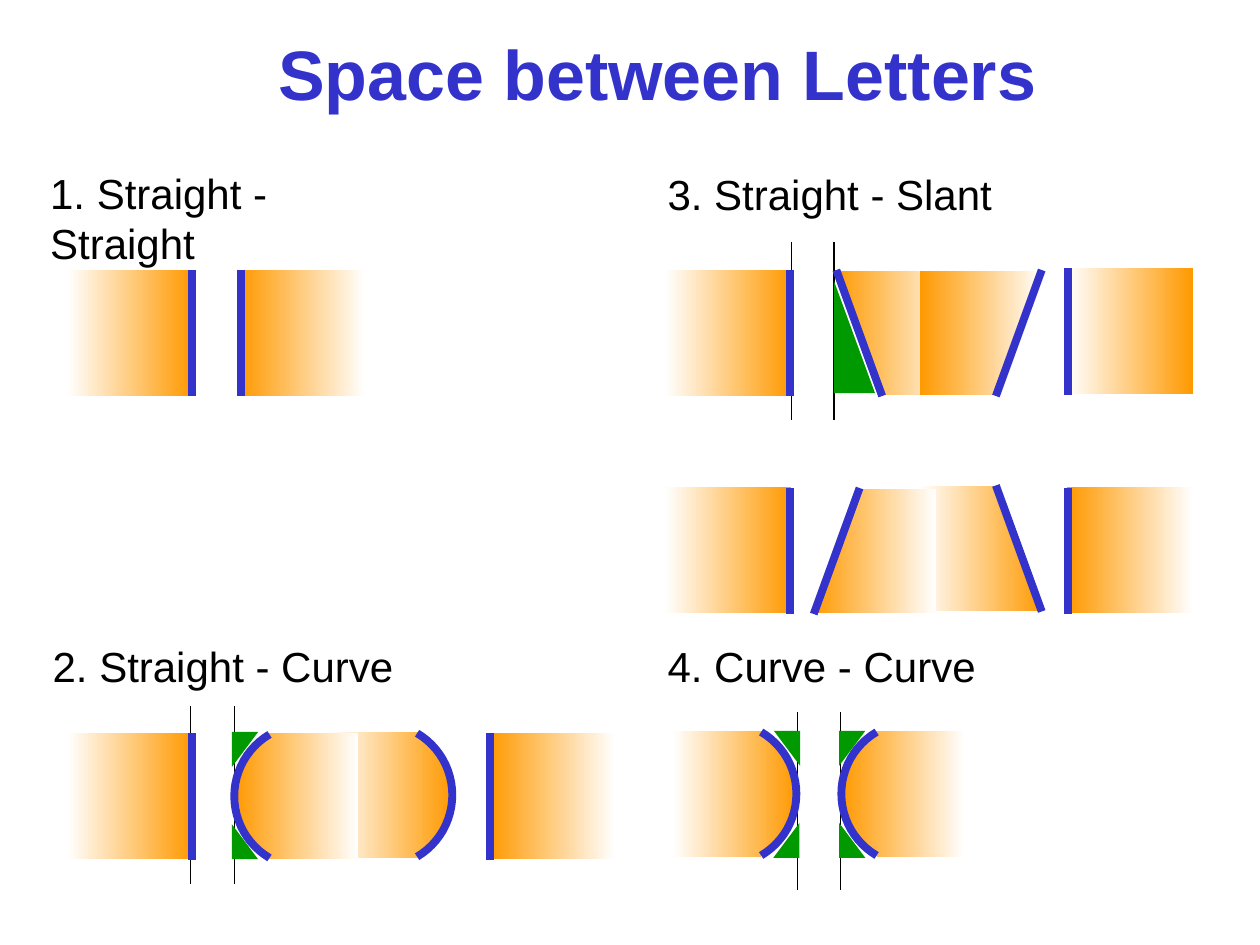
import math

from lxml import etree
from pptx import Presentation
from pptx.dml.color import RGBColor
from pptx.enum.shapes import MSO_CONNECTOR, MSO_SHAPE
from pptx.enum.text import MSO_AUTO_SIZE
from pptx.oxml.ns import qn
from pptx.util import Pt

STRAIGHT_LINE = MSO_CONNECTOR.STRAIGHT
RECTANGLE = MSO_SHAPE.RECTANGLE
FIT_TEXT = MSO_AUTO_SIZE.SHAPE_TO_FIT_TEXT

COLORS = {"ink": "000000", "edge": "3333CC", "body": "FF9900",
          "fade": "FFFFFF", "gap": "009900"}

HEADING = {"size": Pt(24), "bold": False, "color": "ink"}
TITLE = {"size": Pt(40), "bold": True, "color": "edge"}
TEXTS = [
    ("1. Straight - Straight", 21.6, 92.2, 227.5, 36.4, HEADING),
    ("2. Straight - Curve", 23, 362.2, 209.5, 36.4, HEADING),
    ("3. Straight - Slant", 374.4, 92.9, 200.2, 36.4, HEADING),
    ("4. Curve - Curve", 374.4, 362.2, 190.8, 36.4, HEADING),
    ("Space between Letters", 151.9, 13.7, 447.8, 55.4, TITLE),
]

GUIDES = [(406.8, (455.8, 480.2)), (138.2, (452.2, 476.6)), (403.2, (108.7, 133.9))]
GUIDE_HEIGHT = 101.8

# kind, left, top, side of the heavy edge, side of the full colour, upside down
BLOCKS = [
    ("straight", 38.2, 154.1, "right", "right", False),
    ("straight", 136.8, 154.1, "left", "left", False),
    ("slant", 476.6, 154.8, "left", "left", False),
    ("straight", 380.2, 154.1, "right", "right", False),
    ("slant", 525.6, 277.9, "right", "right", True),
    ("straight", 609.8, 278.6, "left", "left", False),
    ("slant", 463.7, 279.4, "left", "left", True),
    ("straight", 380.2, 278.6, "right", "right", False),
    ("slant", 525.6, 154.8, "right", "left", False),
    ("straight", 609.8, 153.4, "left", "right", False),
    ("straight", 38.2, 419, "right", "right", False),
    ("straight", 279.4, 419, "left", "left", False),
    ("curve", 187.9, 418.3, "right", "right", False),
    ("curve", 480.8, 417.6, "left", "left", False),
    ("curve", 384.5, 417.6, "right", "right", False),
    ("curve", 133.9, 419, "left", "left", False),
]

RADIUS, HALF_SWEEP, ARC_STEPS = 41, 59.4, 24
ARC = [(RADIUS * (1 - math.cos(angle)), 36 + RADIUS * math.sin(angle))
       for angle in (math.radians(HALF_SWEEP * (2 * step / ARC_STEPS - 1))
                     for step in range(ARC_STEPS + 1))]

# Outline and heavy edge of each kind, with the edge on the left
FORMS = {
    "straight": {"size": (72, 72), "outline": None, "edge": [(0.7, 0), (0.7, 72.4)]},
    "slant": {"size": (71, 71), "outline": [(0, 0), (26.5, 71), (71, 71), (71, 0)],
              "edge": [(1.3, -0.5), (27.5, 71.5)]},
    "curve": {"size": (70.6, 72),
              "outline": [(70.6, 0), (20.2, 0), (10.1, 8.6), (2.9, 19.4), (0, 34.6),
                          (1.4, 46.1), (9.4, 62.6), (20.9, 72), (70.6, 72)],
              "edge": ARC},
}

# Corner of the right angle, then the two legs
GAPS = [
    (132.5, 418.3, 15, 20), (132.5, 491, 15, -20),
    (476.6, 224.6, 23.4, -64),
    (479.5, 417.6, 15, 20), (479.5, 490.3, 15, -20),
    (457.2, 417.6, -15, 20), (456.8, 490.3, -15, -20),
]


def rgb(name):
    return RGBColor.from_string(COLORS[name])


def draw_line(page, start, end, color, width):
    line = page.shapes.add_connector(STRAIGHT_LINE, *(Pt(v) for v in (*start, *end)))
    line.line.color.rgb = rgb(color)
    line.line.width = Pt(width)
    etree.SubElement(line._element.spPr, qn("a:effectLst"))


def draw_path(page, points, close):
    start, *rest = [(Pt(x), Pt(y)) for x, y in points]
    builder = page.shapes.build_freeform(*start, scale=1.0)
    builder.add_line_segments(rest, close=close)
    shape = builder.convert_to_shape()
    shape.shadow.inherit = False
    return shape


def draw_block(page, kind, left, top, edge_side, color_side, upside_down):
    form = FORMS[kind]
    width, height = form["size"]

    def place(points):
        return [(left + (width - x if edge_side == "right" else x),
                 top + (height - y if upside_down else y)) for x, y in points]

    if form["outline"]:
        body = draw_path(page, place(form["outline"]), True)
    else:
        body = page.shapes.add_shape(RECTANGLE, *(Pt(v) for v in (left, top, width, height)))
        body.shadow.inherit = False
    body.line.fill.background()
    body.fill.gradient()
    body.fill.gradient_angle = 0
    names = ("body", "fade") if color_side == "left" else ("fade", "body")
    for stop, name in zip(body.fill.gradient_stops, names):
        stop.color.rgb = rgb(name)

    edge = place(form["edge"])
    if kind == "curve":
        arc = draw_path(page, edge, False)
        arc.fill.background()
        arc.line.color.rgb = rgb("edge")
        arc.line.width = Pt(4.5)
    else:
        draw_line(page, *edge, "edge", 4.5)


def draw_gap(page, x, y, across, down):
    gap = draw_path(page, [(x, y + down), (x, y), (x + across, y)], True)
    gap.fill.solid()
    gap.fill.fore_color.rgb = rgb("gap")
    gap.line.fill.background()


def draw_text(page, text, left, top, width, height, style):
    box = page.shapes.add_textbox(*(Pt(v) for v in (left, top, width, height)))
    box.text_frame.word_wrap = False
    box.text_frame.auto_size = FIT_TEXT
    span = box.text_frame.paragraphs[0].add_run()
    span.text = text
    for name, value in {"name": "Arial", "size": style["size"], "bold": style["bold"]}.items():
        setattr(span.font, name, value)
    span.font.color.rgb = rgb(style["color"])


def main():
    deck = Presentation()
    deck.slide_width, deck.slide_height = Pt(720), Pt(540)
    page = deck.slides.add_slide(deck.slide_layouts[6])
    for top, columns in GUIDES:
        for x in columns:
            draw_line(page, (x, top), (x, top + GUIDE_HEIGHT), "ink", 0.75)
    for block in BLOCKS:
        draw_block(page, *block)
    for gap in GAPS:
        draw_gap(page, *gap)
    for text in TEXTS:
        draw_text(page, *text)
    deck.save("out.pptx")


if __name__ == "__main__":
    main()
